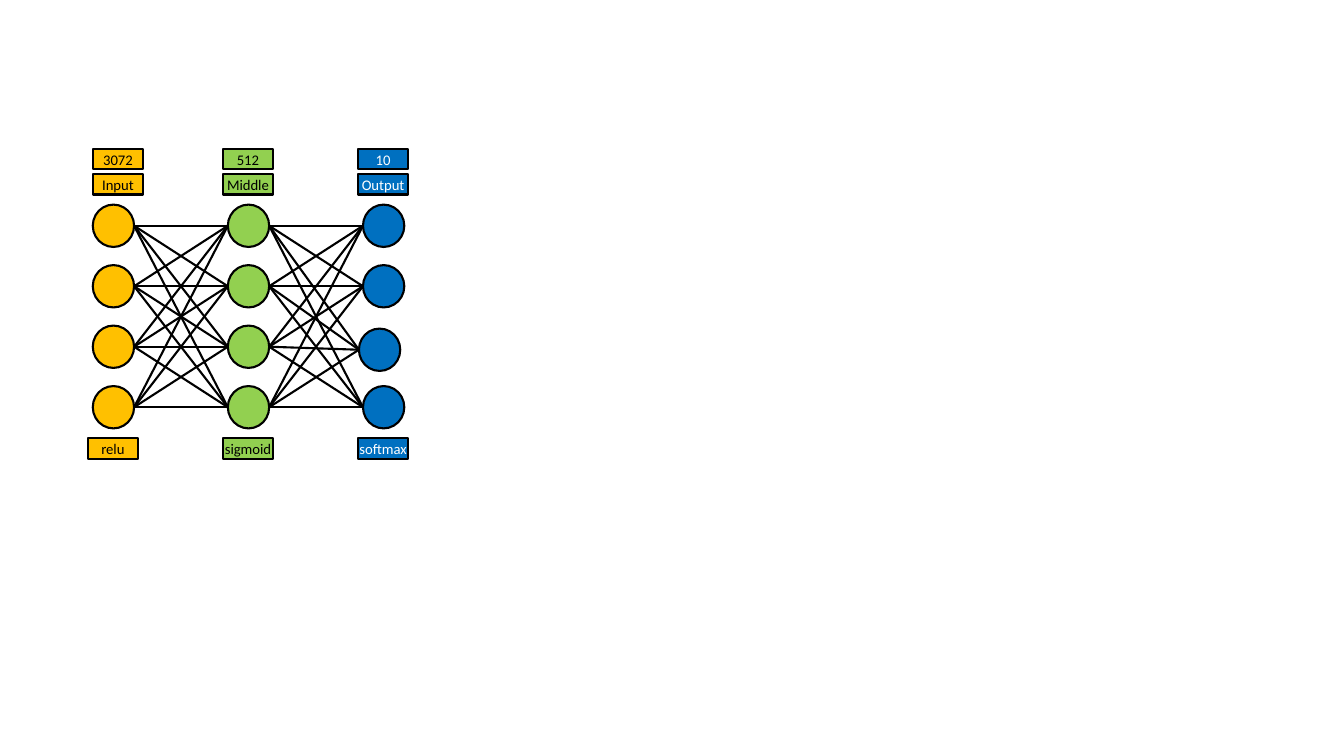
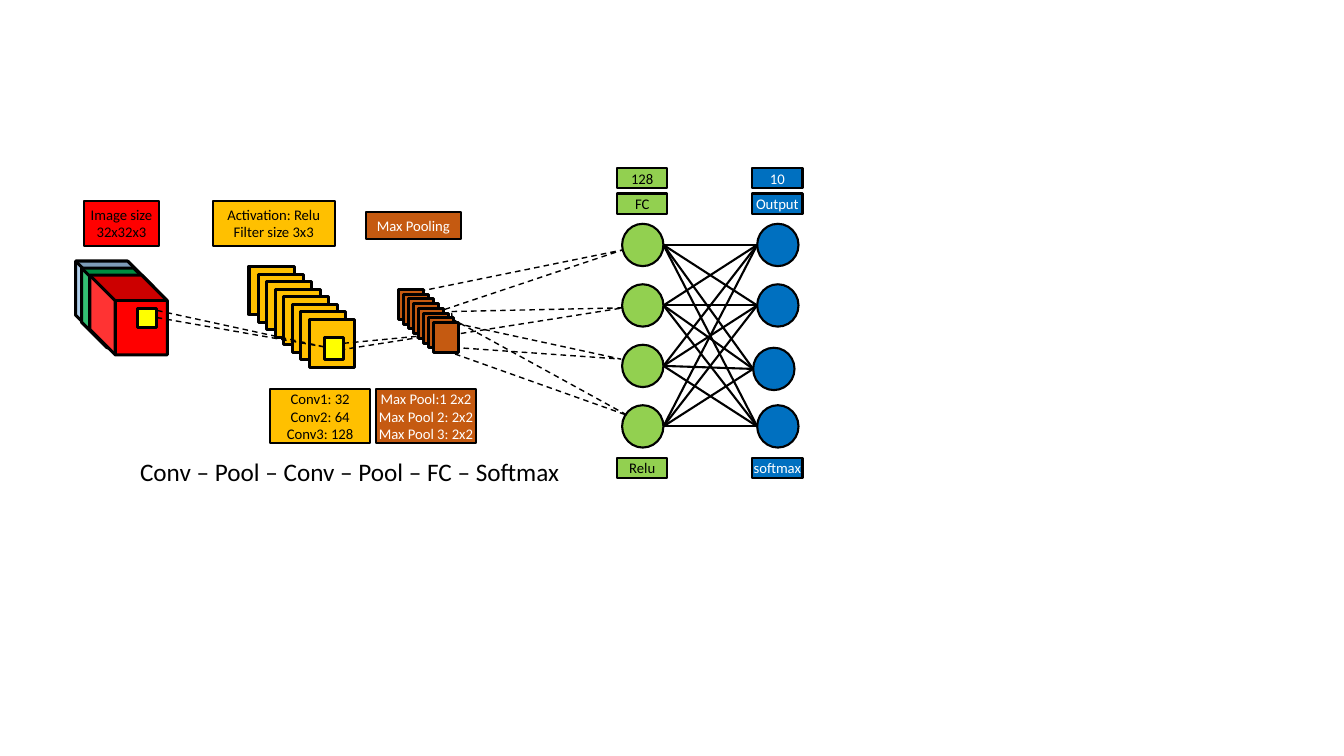
from dataclasses import dataclass
from itertools import product

from lxml import etree
from pptx import Presentation, util as u
from pptx.dml.color import RGBColor
from pptx.enum import dml, shapes, text
from pptx.oxml import ns

SHAPE = shapes.MSO_SHAPE


@dataclass(frozen=True)
class Theme:
    """Colours, type sizes and line widths that the slides share."""
    font: str = "Calibri"
    black: str = "000000"
    white: str = "FFFFFF"
    amber: str = "FFC000"
    green: str = "92D050"
    blue: str = "0070C0"
    red: str = "FF0000"
    rust: str = "C55A11"
    yellow: str = "FFFF00"
    channel_blue: str = "9DC3E6"
    channel_green: str = "00B050"
    label_size: float = 10.5
    summary_size: float = 18
    thin: float = 1
    medium: float = 1.5
    thick: float = 2.25


THEME = Theme()


@dataclass(frozen=True)
class Layer:
    """One column of a network with its labels and offsets."""
    fill: str
    headings: tuple
    activation: str
    ink: str = THEME.black
    heading_shift: int = 0
    third_node_shift: tuple = (0, 0)


def px(length):
    """Turn px, 100 to the inch, into EMU."""
    return u.Emu(length * 9144)


def write(frame, content, size=THEME.label_size, ink=THEME.black,
          align=text.PP_ALIGN.CENTER):
    """Write one formatted paragraph for each line of content."""
    for index, line in enumerate(content.split("\n")):
        paragraph = frame.add_paragraph() if index else frame.paragraphs[0]
        paragraph.alignment = align
        run = paragraph.add_run()
        run.text = line
        run.font.name = THEME.font
        run.font.size = u.Pt(size)
        run.font.color.rgb = RGBColor.from_string(ink)


def draw(target, kind, box, fill=None, width=THEME.medium, rotation=0):
    """Add a black-outlined preset shape."""
    shape = target.add_shape(kind, *map(px, box))
    shape.shadow.inherit = False
    shape.rotation = rotation
    if fill:
        shape.fill.solid()
        shape.fill.fore_color.rgb = RGBColor.from_string(fill)
    else:
        shape.fill.background()
    shape.line.color.rgb = RGBColor.from_string(THEME.black)
    shape.line.width = u.Pt(width)
    return shape


def label(target, box, content, fill, ink=THEME.black):
    """Add a filled rectangle with centred text."""
    frame = draw(target, SHAPE.RECTANGLE, box, fill).text_frame
    frame.word_wrap = True
    frame.vertical_anchor = text.MSO_ANCHOR.MIDDLE
    frame.margin_left = frame.margin_right = 0
    frame.margin_top = frame.margin_bottom = 0
    write(frame, content, ink=ink)


def link(target, start, end):
    """Add a straight line between two points."""
    line = target.add_connector(shapes.MSO_CONNECTOR.STRAIGHT,
                                *map(px, (*start, *end)))
    line.line.color.rgb = RGBColor.from_string(THEME.black)
    line.line.width = u.Pt(THEME.medium)
    etree.SubElement(line._element.spPr, ns.qn("a:effectLst"))


def cone(target, box, rotation):
    """Add a dashed triangle that projects one region onto the next."""
    outline = draw(target, SHAPE.ISOSCELES_TRIANGLE, box,
                   width=THEME.thin, rotation=rotation)
    outline.line.dash_style = dml.MSO_LINE.DASH


def stack(target, left, top, size, spread, fill, count=8):
    """Add a diagonal stack of equal feature maps."""
    maps = target.add_group_shape().shapes
    for index in range(count):
        x, y = (round(index * reach / (count - 1)) for reach in spread)
        draw(maps, SHAPE.RECTANGLE, (left + x, top + y, *size), fill, THEME.thick)


def network(target, left, top, layers):
    """Place a fully connected network with labels above and below."""
    node_width, node_height = 41, 42
    columns = []
    for index, layer in enumerate(layers):
        x = left + 134 * index
        headings = target.add_group_shape().shapes
        for row, heading in enumerate(layer.headings):
            label(headings, (x + layer.heading_shift, top + 25 * row, 50, 20),
                  heading, layer.fill, layer.ink)
        nodes = [(x + 5, top + 55 + 60 * row) for row in range(4)]
        shift_x, shift_y = layer.third_node_shift
        nodes[2] = (nodes[2][0] + shift_x, nodes[2][1] + shift_y)
        for node in nodes:
            draw(target, SHAPE.OVAL, (*node, node_width, node_height), layer.fill)
        label(target, (x, top + 287, 50, 20), layer.activation,
              layer.fill, layer.ink)
        columns.append(nodes)
    middle = node_height // 2
    for sources, ends in zip(columns, columns[1:]):
        for (x1, y1), (x2, y2) in product(sources, ends):
            link(target, (x2, y2 + middle), (x1 + node_width, y1 + middle))


def convolution(target, left, top):
    """Place the image, convolution and pooling stages."""
    def at(x, y, width, height):
        """Offset a box by the corner of the region."""
        return left + x, top + y, width, height

    channels = ((0, 61, THEME.channel_blue), (6, 68, THEME.channel_green),
                (14, 75, THEME.red))
    for x, y, fill in channels:
        cube = draw(target, SHAPE.CUBE, at(x, y, 79, 77), fill, THEME.thick, 270)
        cube.adjustments[0] = 0.33
    stack(target, left + 173, top + 65, (45, 48), (60, 53), THEME.amber)
    for patch in ((62, 107, 19, 19), (248, 136, 19, 22)):
        draw(target, SHAPE.RECTANGLE, at(*patch), THEME.yellow, THEME.thick)

    projections = (
        ((162, 43, 7, 172), 101.1),
        ((312, 90, 6, 97), 82.8),
        ((432, -27, 25, 205), 75),
        ((448, 29, 23, 170), 84.9),
        ((447, 62, 24, 167), 98.1),
        ((442, 73, 32, 199), 114.2),
    )
    for box, rotation in projections:
        cone(target, at(*box), rotation)
    stack(target, left + 321, top + 88, (25, 30), (35, 33), THEME.rust)

    captions = (
        ((9, 0, 75, 45), "Image size\n32x32x3", THEME.red, THEME.black),
        ((137, 0, 121, 45), "Activation: Relu\nFilter size 3x3",
         THEME.amber, THEME.black),
        ((289, 11, 94, 27), "Max Pooling", THEME.rust, THEME.white),
        ((194, 187, 99, 54), "Conv1: 32\nConv2: 64\nConv3: 128",
         THEME.amber, THEME.black),
        ((299, 187, 99, 54), "Max Pool:1 2x2\nMax Pool 2: 2x2\nMax Pool 3: 2x2",
         THEME.rust, THEME.white),
    )
    for box, content, fill, ink in captions:
        label(target, at(*box), content, fill, ink)

    summary = target.add_textbox(*map(px, at(55, 249, 442, 40))).text_frame
    summary.word_wrap = False
    summary.auto_size = text.MSO_AUTO_SIZE.SHAPE_TO_FIT_TEXT
    write(summary, "Conv – Pool – Conv – Pool – FC – Softmax",
          size=THEME.summary_size, align=text.PP_ALIGN.LEFT)


def main():
    """Build and save both slides."""
    deck = Presentation()
    deck.slide_width, deck.slide_height = px(1333), px(750)
    blank = deck.slide_layouts[6]

    output = Layer(THEME.blue, ("10", "Output"), "softmax", THEME.white,
                   third_node_shift=(-4, 3))
    dense = deck.slides.add_slide(blank).shapes
    network(dense, 87, 148, (
        Layer(THEME.amber, ("3072", "Input"), "relu", heading_shift=5),
        Layer(THEME.green, ("512", "Middle"), "sigmoid"),
        output,
    ))

    convolutional = deck.slides.add_slide(blank).shapes
    network(convolutional, 612, 167,
            (Layer(THEME.green, ("128", "FC"), "Relu"), output))
    convolution(convolutional, 74, 199)
    deck.save("out.pptx")


if __name__ == "__main__":
    main()
